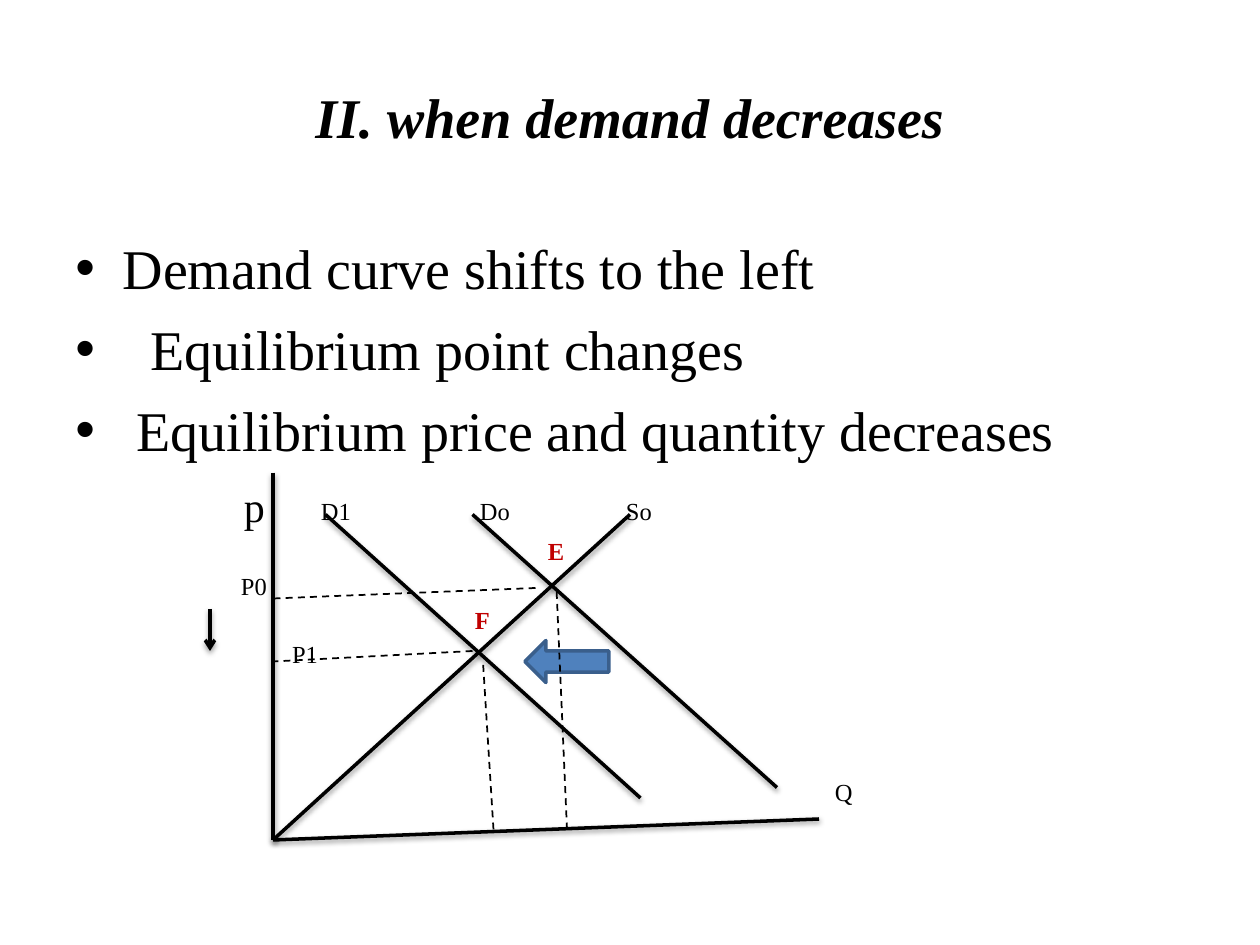
from lxml import etree
from pptx import Presentation
from pptx.dml.color import RGBColor
from pptx.enum import dml, shapes, text
from pptx.oxml import ns
from pptx.util import Pt

BLACK, RED = "000000", "C00000"


def colour(hex_code):
    return RGBColor.from_string(hex_code)


def add_xml(parent, tag, **attributes):
    return etree.SubElement(parent, ns.qn(tag), attributes)


class Sketch:
    """Holds the text style and the current page."""

    font = "Times New Roman"
    ascent = 0.89

    def __init__(self, page):
        self.page = page

    def frame(self, left, top, width, height, **formats):
        box = self.page.shapes.add_textbox(Pt(left), Pt(top), Pt(width), Pt(height))
        for name, value in {"word_wrap": True, **formats}.items():
            setattr(box.text_frame, name, value)
        return box.text_frame

    def add_span(self, para, words, size, ink=BLACK, **formats):
        span = para.add_run()
        span.text = words
        span.font.color.rgb = colour(ink)
        for name, value in {"name": self.font, "size": Pt(size), **formats}.items():
            setattr(span.font, name, value)

    def title(self, words, left, top, width, height):
        frame = self.frame(left, top, width, height,
                           vertical_anchor=text.MSO_ANCHOR.MIDDLE)
        para = frame.paragraphs[0]
        para.alignment = text.PP_ALIGN.CENTER
        self.add_span(para, words, 32, bold=True, italic=True)

    def bullets(self, items, left, top, width, height):
        frame = self.frame(left, top, width, height, margin_top=Pt(7.2))
        for number, (words, indent) in enumerate(items):
            para = frame.add_paragraph() if number else frame.paragraphs[0]
            para.space_before = Pt(8 if number else 0)
            self.add_span(para, words, 32)
            properties = para._p.get_or_add_pPr()
            properties.set("marL", str(Pt(indent)))
            properties.set("indent", str(-Pt(indent)))
            add_xml(properties, "a:buFont", typeface="Arial")
            add_xml(properties, "a:buChar", char="•")

    def label(self, words, left, baseline, size=14, **formats):
        frame = self.frame(left, baseline - self.ascent * size, 2 * size, 1.2 * size,
                           margin_left=0, margin_right=0, margin_top=0,
                           margin_bottom=0, word_wrap=False)
        self.add_span(frame.paragraphs[0], words, size, **formats)

    def line(self, start, end, width=2, dashed=False, arrow=False):
        connector = self.page.shapes.add_connector(
            shapes.MSO_CONNECTOR.STRAIGHT, *map(Pt, start + end))
        connector.line.color.rgb = colour(BLACK)
        connector.line.width = Pt(width)
        if dashed:
            connector.line.dash_style = dml.MSO_LINE.DASH
        if arrow:
            add_xml(connector.line._get_or_add_ln(), "a:tailEnd", type="arrow")
        effects = add_xml(connector._element.spPr, "a:effectLst")
        if not dashed:
            shadow = add_xml(effects, "a:outerShdw", blurRad=str(Pt(3.1)),
                             dist=str(Pt(1.6)), dir="5400000", rotWithShape="0")
            black = add_xml(shadow, "a:srgbClr", val=BLACK)
            add_xml(black, "a:alpha", val="38000")

    def left_arrow(self, left, top, width, height, fill, edge):
        arrow = self.page.shapes.add_shape(
            shapes.MSO_SHAPE.LEFT_ARROW, Pt(left), Pt(top), Pt(width), Pt(height))
        arrow.shadow.inherit = False
        arrow.fill.solid()
        arrow.fill.fore_color.rgb = colour(fill)
        arrow.line.color.rgb = colour(edge)
        arrow.line.width = Pt(2)


def main():
    deck = Presentation()
    deck.slide_width, deck.slide_height = Pt(720), Pt(540)
    sketch = Sketch(deck.slides.add_slide(deck.slide_layouts[6]))

    # Title and bullets
    sketch.title("II. when demand decreases", 36, 21.6, 648, 90)
    sketch.bullets([
        ("Demand curve shifts to the left", 27),
        ("Equilibrium point changes", 43),
        ("Equilibrium price and quantity decreases", 35),
    ], 36, 126, 648, 140)

    # Axes, supply curve and the two demand curves
    origin = (156, 480)
    sketch.line((156, 270), origin)
    sketch.line(origin, (468, 468))
    sketch.line(origin, (360, 294))
    sketch.line((186, 294), (366, 456))
    sketch.line((270, 294), (444, 450))

    # Shift of demand
    sketch.left_arrow(300, 366, 48, 24, "4F81BD", "3A5F8C")

    # Guides from both equilibrium points to the axes
    for start, end in [((306, 336), (156, 342)), ((270, 372), (156, 378)),
                       ((324, 474), (318, 336)), ((282, 474), (276, 378))]:
        sketch.line(start, end, width=1, dashed=True)

    # Fall in price
    sketch.line((120, 348), (120, 372), arrow=True)

    # Curve names on one baseline
    sketch.label("p", 139.4, 296, size=24)
    for words, left in [("D1", 183.4), ("Do", 274.3), ("So", 357.7)]:
        sketch.label(words, left, 296)

    # Point, price and quantity names, on evenly spaced rows
    first_row, row_step = 319, 19.6
    for words, left, row, formats in [
        ("E", 313.1, 0, {"ink": RED, "bold": True}),
        ("P0", 137.7, 1, {}),
        ("F", 271.4, 2, {"ink": RED, "bold": True}),
        ("P1", 166.9, 3, {}),
        ("Q", 477.1, 7, {}),
    ]:
        sketch.label(words, left, first_row + row * row_step, **formats)

    deck.save("out.pptx")


if __name__ == "__main__":
    main()
